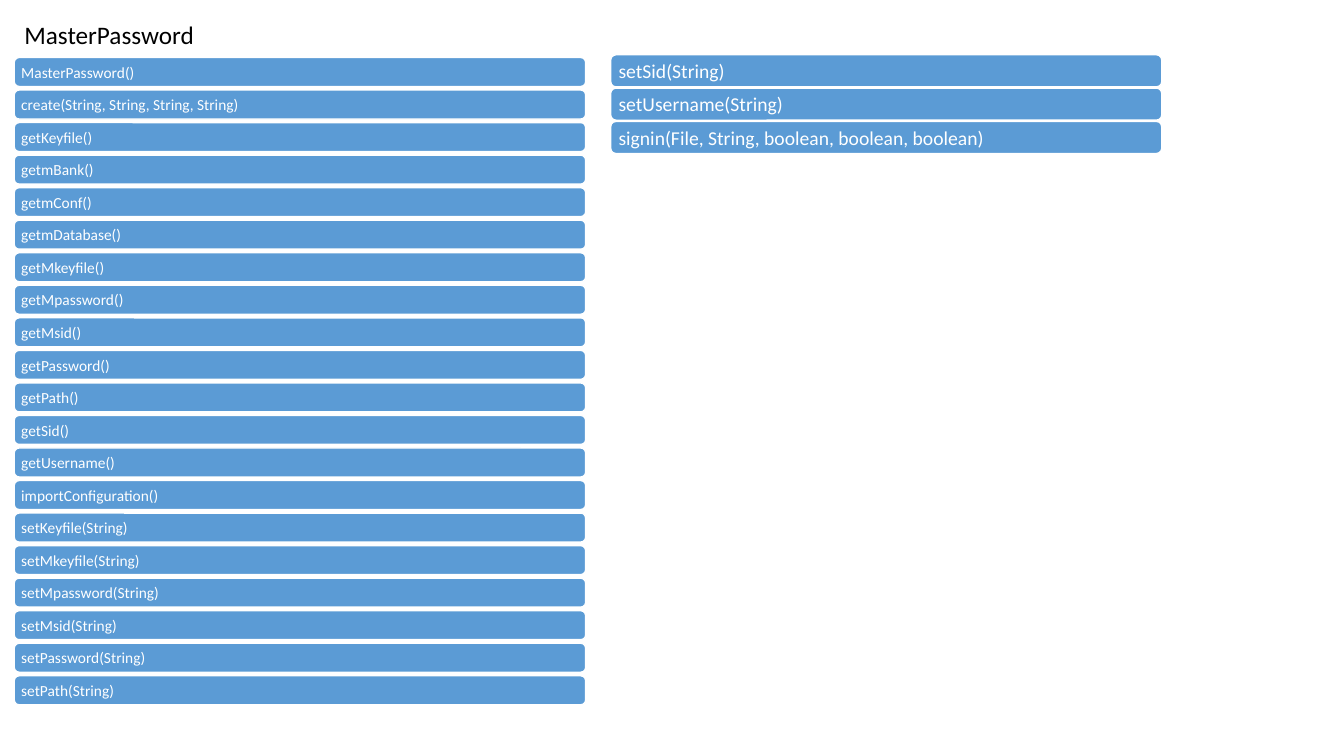
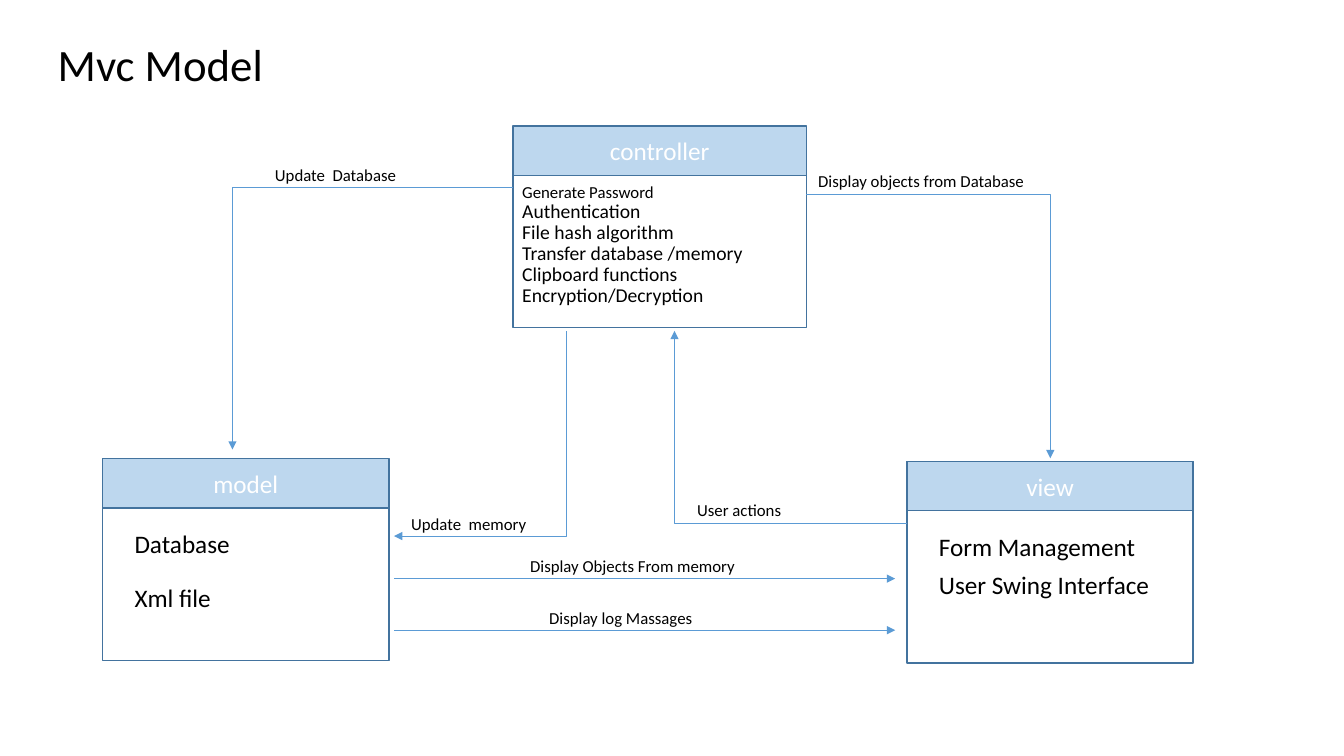
from dataclasses import dataclass

from lxml import etree
from pptx import Presentation
from pptx.dml.color import RGBColor
from pptx.enum.shapes import MSO_CONNECTOR, MSO_SHAPE
from pptx.enum.text import MSO_ANCHOR, MSO_AUTO_SIZE, PP_ALIGN
from pptx.oxml.ns import qn
from pptx.util import Cm, Pt

RECTANGLE = MSO_SHAPE.RECTANGLE
ROUNDED_RECTANGLE = MSO_SHAPE.ROUNDED_RECTANGLE
STRAIGHT = MSO_CONNECTOR.STRAIGHT
ELBOW = MSO_CONNECTOR.ELBOW
TOP = MSO_ANCHOR.TOP
MIDDLE = MSO_ANCHOR.MIDDLE
LEFT = PP_ALIGN.LEFT
CENTER = PP_ALIGN.CENTER
NO_AUTO_SIZE = MSO_AUTO_SIZE.NONE
TITLE_ONLY_LAYOUT = 5
COMPARISON_LAYOUT = 4


@dataclass(frozen=True)
class Theme:
    """Colours, type sizes and line widths of the presentation."""

    font: str = "Calibri"
    text: RGBColor = RGBColor(0x00, 0x00, 0x00)
    white: RGBColor = RGBColor(0xFF, 0xFF, 0xFF)
    accent: RGBColor = RGBColor(0x5B, 0x9B, 0xD5)
    pale: RGBColor = RGBColor(0xBD, 0xD7, 0xEE)
    border: RGBColor = RGBColor(0x43, 0x73, 0x9E)
    title_size: int = 32
    heading_size: int = 18
    list_size: int = 14
    label_size: int = 12
    small_size: int = 11
    border_width: float = 1
    flow_width: float = 0.5


@dataclass(frozen=True)
class Box:
    """A rectangle measured in centimetres."""

    left: float
    top: float
    width: float
    height: float

    @property
    def right(self):
        """Return the right edge."""
        return self.left + self.width

    @property
    def bottom(self):
        """Return the bottom edge."""
        return self.top + self.height

    def lengths(self):
        """Return the four sides as slide lengths."""
        return Cm(self.left), Cm(self.top), Cm(self.width), Cm(self.height)


@dataclass(frozen=True)
class Flow:
    """An arrow between panels with its label."""

    label: str
    begin: tuple
    end: tuple
    label_shift: float
    label_width: float
    kind: int = ELBOW
    arrow_end: str = "tailEnd"


THEME = Theme()

CONSTRUCTORS_AND_GETTERS = [
    "MasterPassword()", "create(String, String, String, String)", "getKeyfile()",
    "getmBank()", "getmConf()", "getmDatabase()", "getMkeyfile()", "getMpassword()",
    "getMsid()", "getPassword()", "getPath()", "getSid()", "getUsername()",
]
CONFIGURATION_AND_SETTERS = [
    "importConfiguration()", "setKeyfile(String)", "setMkeyfile(String)",
    "setMpassword(String)", "setMsid(String)", "setPassword(String)", "setPath(String)",
]
REMAINING_METHODS = [
    "setSid(String)", "setUsername(String)",
    "signin(File, String, boolean, boolean, boolean)",
]
CONTROLLER_TASKS = [
    "Generate Password", "Authentication", "File hash algorithm",
    "Transfer database /memory", "Clipboard functions", "Encryption/Decryption",
]


def place(shape, box):
    """Move and size a shape to a box."""
    shape.left, shape.top, shape.width, shape.height = box.lengths()


def format_paragraph(paragraph, size, color, alignment=LEFT):
    """Apply alignment and font to a paragraph."""
    paragraph.alignment = alignment
    for run in paragraph.runs:
        run.font.name = THEME.font
        run.font.size = Pt(size)
        run.font.bold = False
        run.font.color.rgb = color


def paint(shape, fill, line):
    """Give a shape a solid fill and a border."""
    shape.fill.solid()
    shape.fill.fore_color.rgb = fill
    shape.line.color.rgb = line
    shape.line.width = Pt(THEME.border_width)


def add_block(slide, kind, box, text, fill, line, size, alignment):
    """Add a filled shape holding one line of white text."""
    shape = slide.shapes.add_shape(kind, *box.lengths())
    shape.shadow.inherit = False
    paint(shape, fill, line)
    frame = shape.text_frame
    frame.text = text
    frame.word_wrap = True
    frame.vertical_anchor = MIDDLE
    format_paragraph(frame.paragraphs[0], size, THEME.white, alignment)
    return shape


def set_title(slide, text, box, size):
    """Fill and place the title placeholder."""
    title = slide.shapes.title
    place(title, box)
    frame = title.text_frame
    frame.text = text
    frame.auto_size = NO_AUTO_SIZE
    frame.vertical_anchor = MIDDLE
    format_paragraph(frame.paragraphs[0], size, THEME.text)


def add_method_bars(slide, box, methods, pitch, size, inset):
    """Stack one bar per method down from the top of a box."""
    for index, method in enumerate(methods):
        bar_box = Box(box.left, box.top + index * pitch, box.width, box.height)
        bar = add_block(slide, ROUNDED_RECTANGLE, bar_box, method,
                        THEME.accent, THEME.white, size, LEFT)
        frame = bar.text_frame
        frame.margin_left = frame.margin_right = Cm(inset)
        frame.margin_top = frame.margin_bottom = 0


def fill_panel(slide, placeholder, box, heading, items, sizes, gap, inset, line_spacing=1.0):
    """Turn a body placeholder into a bordered list under a heading band."""
    left_inset, top_inset = inset
    place(placeholder, box)
    paint(placeholder, THEME.white, THEME.border)
    frame = placeholder.text_frame
    frame.text = "\n".join(items)
    frame.auto_size = NO_AUTO_SIZE
    frame.vertical_anchor = TOP
    frame.margin_left, frame.margin_top = Cm(left_inset), Cm(top_inset)
    for paragraph, size in zip(frame.paragraphs, sizes):
        format_paragraph(paragraph, size, THEME.text)
        paragraph.space_before = Pt(0)
        paragraph.space_after = Pt(gap)
        paragraph.line_spacing = line_spacing
        properties = paragraph._p.get_or_add_pPr()
        properties.set("marL", "0")
        properties.set("indent", "0")
        etree.SubElement(properties, qn("a:buNone"))
    band = Box(box.left, box.top, box.width, 1.24)
    add_block(slide, RECTANGLE, band, heading, THEME.pale, THEME.border,
              THEME.heading_size, CENTER)


def add_flow(slide, flow):
    """Draw a flow arrow and write its label just above the start."""
    points = [Cm(value) for value in flow.begin + flow.end]
    connector = slide.shapes.add_connector(flow.kind, *points)
    connector.line.color.rgb = THEME.accent
    connector.line.width = Pt(THEME.flow_width)
    properties = connector._element.spPr
    if flow.kind == ELBOW:
        properties.find(qn("a:prstGeom")).set("prst", "bentConnector2")
    line = properties.find(qn("a:ln"))
    etree.SubElement(line, qn("a:" + flow.arrow_end)).set("type", "triangle")
    etree.SubElement(properties, qn("a:effectLst"))

    left, top = flow.begin
    label_box = Box(left + flow.label_shift, top - 0.7, flow.label_width, 0.77)
    label = slide.shapes.add_textbox(*label_box.lengths())
    label.text_frame.text = flow.label
    label.text_frame.word_wrap = True
    format_paragraph(label.text_frame.paragraphs[0], THEME.label_size, THEME.text)


def add_flows(slide, model, controller, view):
    """Connect the three panels."""
    below_controller = controller.bottom + 0.08
    after_model = model.right + 0.13
    before_view = view.left - 0.3
    memory_row, log_row = model.top + 3.02, model.top + 4.32
    flows = [
        Flow("Update  Database", (controller.left, controller.top + 1.55),
             (model.left + 3.27, model.top - 0.23), -6.25, 5.46),
        Flow("Display objects from Database", (controller.right, controller.top + 1.71),
             (view.left + 3.61, view.top - 0.08), 0.05, 6.55),
        Flow("Update  memory", (after_model, model.top + 1.95),
             (controller.left + 1.34, below_controller), 0.18, 5.46, arrow_end="headEnd"),
        Flow("User actions", (view.left, view.top + 1.55),
             (controller.left + 4.07, below_controller), -5.54, 5.16),
        Flow("Display Objects From memory", (after_model, memory_row),
             (before_view, memory_row), 3.18, 6.78, STRAIGHT),
        Flow("Display log Massages", (after_model, log_row),
             (before_view, log_row), 3.66, 4.93, STRAIGHT),
    ]
    for flow in flows:
        add_flow(slide, flow)


def build_methods_slide(presentation):
    """Build the slide listing the methods of the class."""
    slide = presentation.slides.add_slide(presentation.slide_layouts[TITLE_ONLY_LAYOUT])
    set_title(slide, "MasterPassword", Box(0.36, 0.36, 6.45, 1.02), THEME.heading_size)
    add_method_bars(slide, Box(0.36, 1.45, 14.4, 0.73),
                    CONSTRUCTORS_AND_GETTERS + CONFIGURATION_AND_SETTERS,
                    0.82, THEME.small_size, 0.14)
    add_method_bars(slide, Box(15.39, 1.38, 13.89, 0.81), REMAINING_METHODS,
                    0.84, THEME.list_size, 0.16)


def build_model_slide(presentation):
    """Build the diagram of model, controller and view."""
    slide = presentation.slides.add_slide(presentation.slide_layouts[COMPARISON_LAYOUT])
    set_title(slide, "Mvc Model", Box(1.2, 0.79, 8, 1.63), THEME.title_size)
    _, model_body, controller_body, view_body, spare = list(slide.placeholders)
    spare._element.getparent().remove(spare._element)

    model = Box(2.59, 11.56, 7.21, 5.08)
    controller = Box(12.93, 3.18, 7.39, 5.08)
    view = Box(22.86, 11.63, 7.21, 5.08)
    large = [THEME.heading_size] * 2
    small = [THEME.label_size] + [THEME.list_size] * 5
    fill_panel(slide, model_body, model, "model", ["Database", "Xml file"],
               large, 17, (0.8, 1.75))
    fill_panel(slide, controller_body, controller, "controller", CONTROLLER_TASKS,
               small, 0, (0.23, 1.37), Pt(15))
    fill_panel(slide, view_body, view, "view", ["Form Management", "User Swing Interface"],
               large, 6, (0.8, 1.75))
    add_flows(slide, model, controller, view)


def main():
    """Build and save the presentation."""
    presentation = Presentation()
    presentation.slide_width, presentation.slide_height = Cm(33.87), Cm(19.05)
    build_methods_slide(presentation)
    build_model_slide(presentation)
    presentation.save("out.pptx")


if __name__ == "__main__":
    main()
